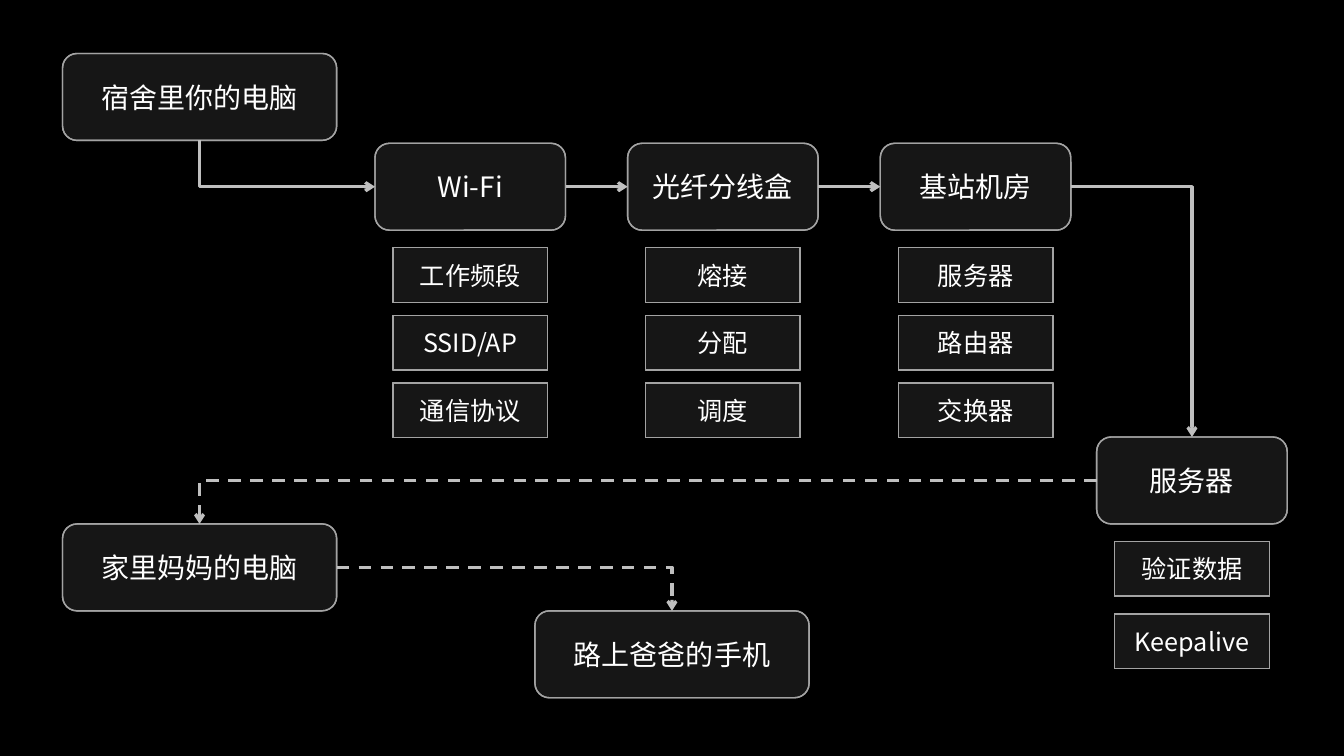
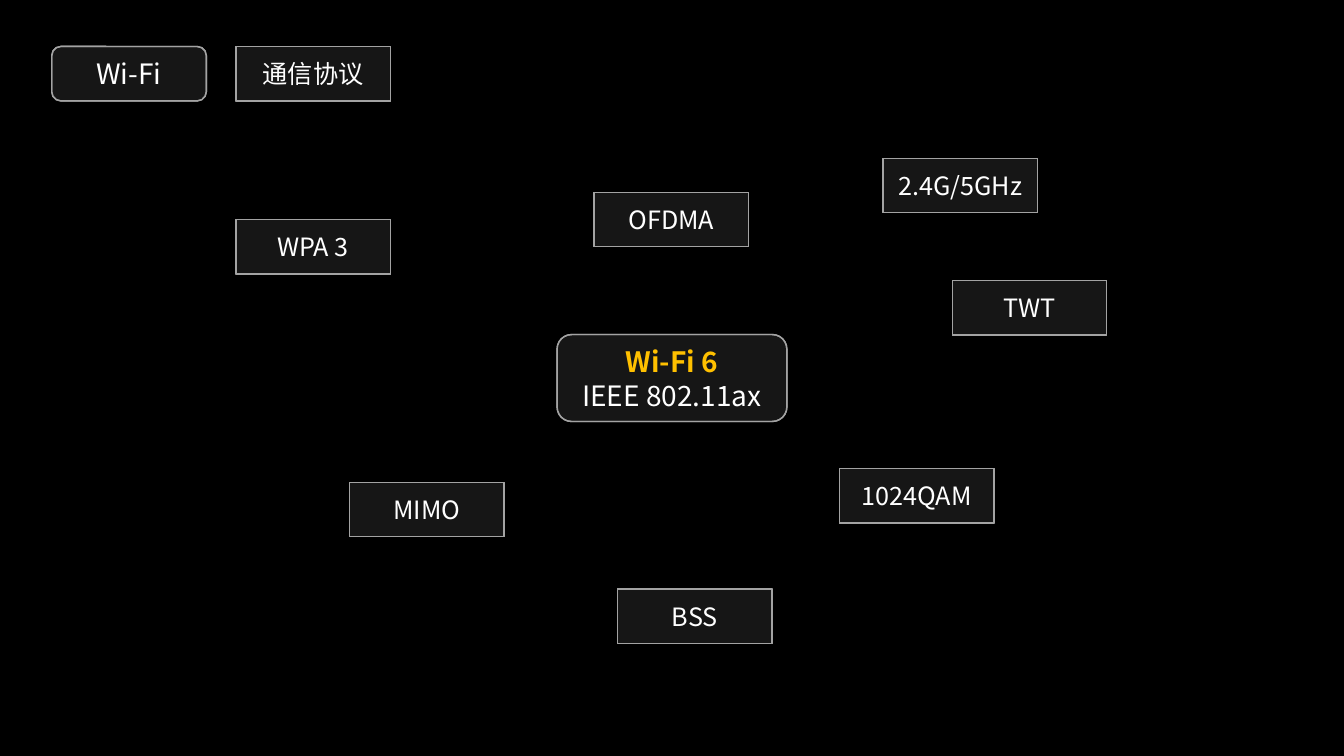
from dataclasses import dataclass

from lxml.etree import SubElement
from pptx import Presentation
from pptx.dml.color import RGBColor
from pptx.enum.dml import MSO_LINE
from pptx.enum.shapes import MSO_CONNECTOR, MSO_SHAPE
from pptx.enum.text import MSO_ANCHOR, PP_ALIGN
from pptx.oxml.ns import qn
from pptx.shapes.autoshape import Shape
from pptx.slide import Slide
from pptx.util import Inches, Pt

BLACK = RGBColor(0x00, 0x00, 0x00)
WHITE = RGBColor(0xFF, 0xFF, 0xFF)
GOLD = RGBColor(0xFF, 0xC0, 0x00)
VEIL = RGBColor(0xDD, 0xDD, 0xDD)
EDGE = RGBColor(0xA3, 0xA3, 0xA3)
WIRE = RGBColor(0xBF, 0xBF, 0xBF)
FACE = "Noto Sans CJK SC"

# Lengths are percent of the slide's width or height.
WIDTH, HEIGHT = Inches(13.333), Inches(7.5)
HOST_W, NODE_W, NODE_H = 20.4, 14.18, 11.5
TAG_W, TAG_H, TAG_GAP = 11.5, 7.2, 2.33
PITCH = 18.8

TOP, LEFT, BOTTOM, RIGHT = range(4)  # connection sites of a box


@dataclass(frozen=True)
class Box:
    x: float
    y: float
    text: str
    w: float = TAG_W
    h: float = TAG_H
    size: int = 18
    kind: MSO_SHAPE = MSO_SHAPE.RECTANGLE
    lead: bool = False  # first line bold and gold


@dataclass(frozen=True)
class Link:
    start: str
    out: int
    end: str
    into: int
    dash: bool = False


def node(x: float, y: float, text: str, w: float = NODE_W,
         h: float = NODE_H, lead: bool = False) -> Box:
    return Box(x, y, text, w, h, 20, MSO_SHAPE.ROUNDED_RECTANGLE, lead)


def stack(head: Box, step: float, names: list[str]) -> list[Box]:
    """Tags centred below a node."""
    x = head.x + (head.w - TAG_W) / 2
    y = head.y + head.h + TAG_GAP
    return [Box(x, y + i * step, name) for i, name in enumerate(names)]


HOSTS = {
    "mine": node(4.65, 7.07, "宿舍里你的电脑", HOST_W),
    "mum": node(4.65, 69.3, "家里妈妈的电脑", HOST_W),
    "dad": node(39.8, 80.8, "路上爸爸的手机", HOST_W),
    "server": node(81.6, 57.8, "服务器"),
}
HOPS = {
    name: node(27.9 + i * PITCH, 18.95, name)
    for i, name in enumerate(["Wi-Fi", "光纤分线盒", "基站机房"])
}
PARTS = [
    ["工作频段", "SSID/AP", "通信协议"],
    ["熔接", "分配", "调度"],
    ["服务器", "路由器", "交换器"],
]
LINKS = [
    Link("mine", BOTTOM, "Wi-Fi", LEFT),
    Link("Wi-Fi", RIGHT, "光纤分线盒", LEFT),
    Link("光纤分线盒", RIGHT, "基站机房", LEFT),
    Link("基站机房", RIGHT, "server", TOP),
    Link("server", LEFT, "mum", TOP, True),
    Link("mum", RIGHT, "dad", TOP, True),
]
TERMS = [
    node(3.85, 6.15, "Wi-Fi", TAG_W, TAG_H),
    Box(17.55, 6.15, "通信协议"),
    node(41.45, 44.25, "Wi-Fi 6\nIEEE 802.11ax", 17.1, lead=True),
    Box(44.2, 25.45, "OFDMA"),
    Box(62.45, 62, "1024QAM"),
    Box(26, 63.8, "MIMO"),
    Box(17.55, 29.05, "WPA 3"),
    Box(70.85, 37.1, "TWT"),
    Box(45.95, 77.9, "BSS"),
    Box(65.7, 20.95, "2.4G/5GHz"),
]


def write(shape: Shape, box: Box) -> None:
    frame = shape.text_frame
    frame.word_wrap = True
    frame.vertical_anchor = MSO_ANCHOR.MIDDLE
    frame.text = box.text
    for i, para in enumerate(frame.paragraphs):
        para.alignment = PP_ALIGN.CENTER
        gold = box.lead and i == 0
        font = para.runs[0].font
        style = {"name": FACE, "size": Pt(box.size), "bold": gold}
        for key, value in style.items():
            setattr(font, key, value)
        font.color.rgb = GOLD if gold else WHITE
        SubElement(para.runs[0]._r.rPr, qn("a:ea"), typeface=FACE)


def draw(slide: Slide, box: Box) -> Shape:
    """Black plate under a thin veil that bears the text."""
    group = slide.shapes.add_group_shape()
    place = [round(share * side / 100) for share, side in
             zip((box.x, box.y, box.w, box.h), (WIDTH, HEIGHT) * 2)]
    for fill in (BLACK, VEIL):
        shape = group.shapes.add_shape(box.kind, *place)
        shape.shadow.inherit = False
        shape.fill.solid()
        shape.fill.fore_color.rgb = fill
        shape.line.color.rgb = EDGE
        shape.line.width = Pt(1)
    tint = shape._element.spPr.find(".//" + qn("a:srgbClr"))
    SubElement(tint, qn("a:alpha"), val="10000")
    write(shape, box)
    return shape


def join(slide: Slide, link: Link, ends: dict[str, Shape]) -> None:
    straight = (link.out, link.into) == (RIGHT, LEFT)
    kind = MSO_CONNECTOR.STRAIGHT if straight else MSO_CONNECTOR.ELBOW
    wire = slide.shapes.add_connector(kind, 0, 0, 0, 0)
    wire.begin_connect(ends[link.start], link.out)
    wire.end_connect(ends[link.end], link.into)
    props = wire._element.spPr
    if not straight:
        props.find(qn("a:prstGeom")).set("prst", "bentConnector2")
    if link.out == BOTTOM:  # a quarter turn makes the elbow leave downwards
        wide, high = wire.width, wire.height
        turn = {"left": wire.left + (wide - high) // 2,
                "top": wire.top + (high - wide) // 2,
                "width": high, "height": wide}
        for key, value in turn.items():
            setattr(wire, key, value)
        form = props.find(qn("a:xfrm"))
        for key, value in {"rot": "16200000", "flipH": "1", "flipV": "0"}.items():
            form.set(key, value)
    wire.line.color.rgb = WIRE
    wire.line.width = Pt(2.25)
    if link.dash:
        wire.line.dash_style = MSO_LINE.DASH
    SubElement(props.find(qn("a:ln")), qn("a:tailEnd"), type="arrow")
    SubElement(props, qn("a:effectLst"))


def main() -> None:
    deck = Presentation()
    deck.slide_width, deck.slide_height = WIDTH, HEIGHT
    back = deck.slide_master.background.fill
    back.solid()
    back.fore_color.rgb = BLACK
    route, terms = (deck.slides.add_slide(deck.slide_layouts[6])
                    for _ in range(2))

    ends = {name: draw(route, box) for name, box in (HOSTS | HOPS).items()}
    for link in LINKS:
        join(route, link, ends)
    for head, names in zip(HOPS.values(), PARTS):
        for tag in stack(head, 8.95, names):
            draw(route, tag)
    for tag in stack(HOSTS["server"], 9.6, ["验证数据", "Keepalive"]):
        draw(route, tag)

    for box in TERMS:
        draw(terms, box)
    deck.save("out.pptx")


if __name__ == "__main__":
    main()
